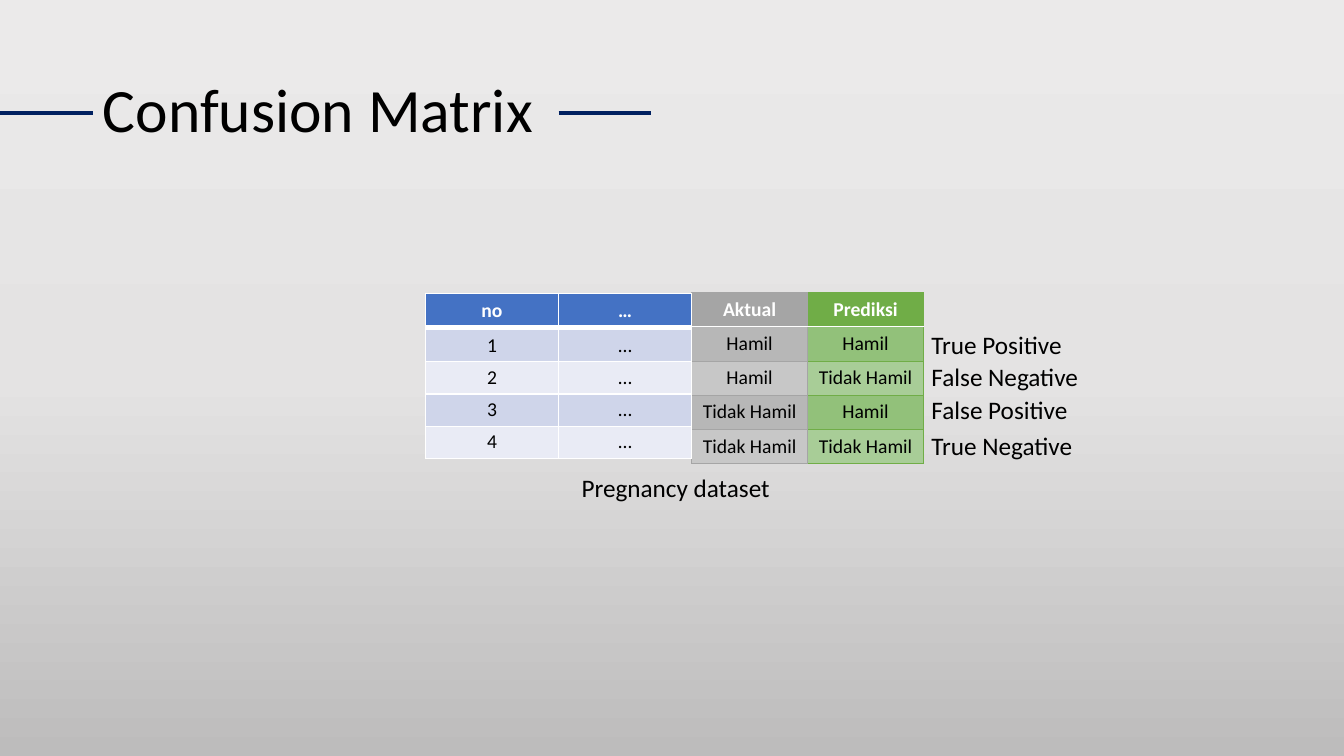
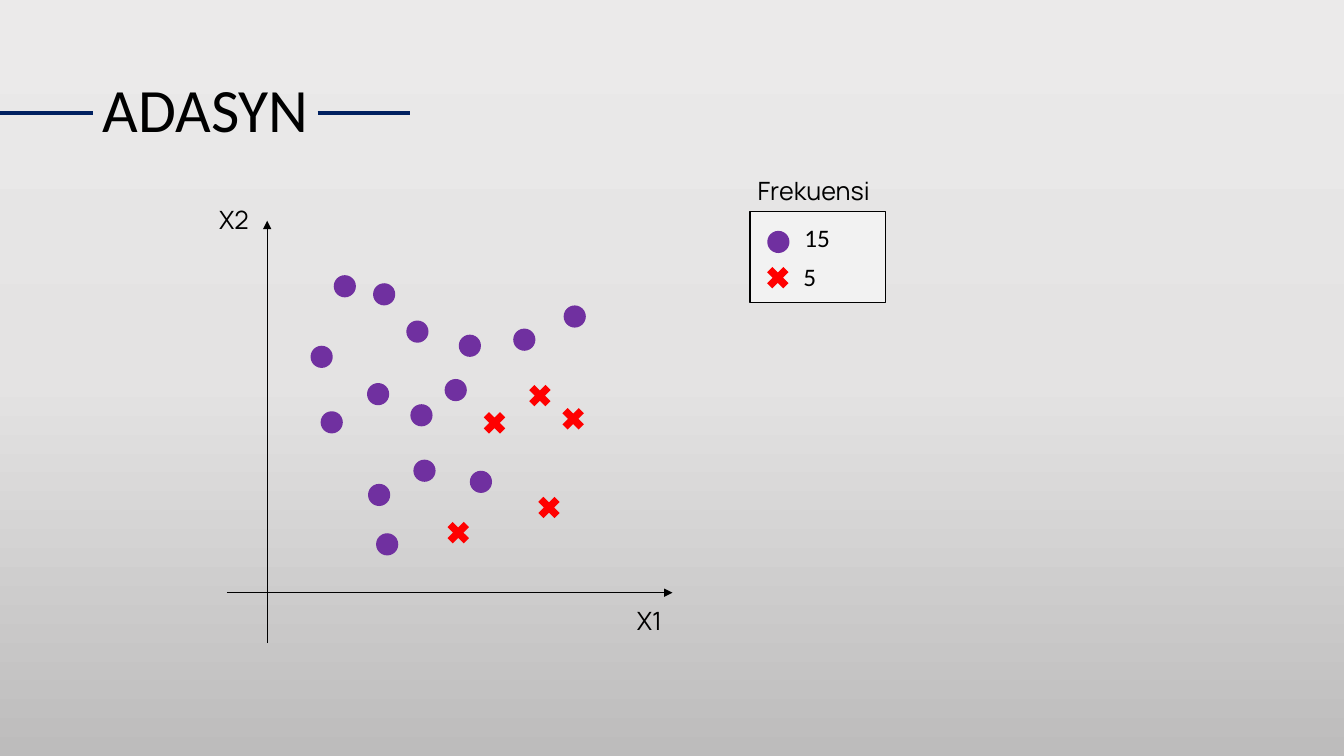
from copy import deepcopy
from dataclasses import dataclass

from lxml.etree import SubElement
from pptx import Presentation
from pptx.dml.color import RGBColor
from pptx.enum.shapes import MSO_CONNECTOR as Conn, MSO_SHAPE as Geo
from pptx.enum.text import MSO_ANCHOR as Anchor, PP_ALIGN as Align
from pptx.oxml.ns import qn
from pptx.util import Inches, Pt

BLACK, WHITE, NAVY = "000000", "FFFFFF", "002060"
GREEN, GREY, BLUE = "70AD47", "A5A5A5", "4472C4"
PURPLE, RED, PANEL = "7030A0", "FF0000", "F2F2F2"
BACKGROUND = ("EBEAEA", "E4E3E3", "BDBCBC")
BODY_FONT, AXIS_FONT = "Calibri", "Manrope"


@dataclass(frozen=True)
class Border:
    """Colour and width in points of a cell border."""
    color: str
    width: float


@dataclass(frozen=True)
class Grid:
    """A table, with one fill per row and a rule under its first row."""
    left: float
    top: float
    col_width: float
    row_height: float
    rows: tuple[tuple[str, ...], ...]
    fills: tuple[str, ...]
    border: Border
    rule: Border
    header: bool = True
    inset_x: float = 0.1
    inset_y: float = 0.05


@dataclass(frozen=True)
class Label:
    """A line of text in a box."""
    text: str
    left: float
    top: float
    width: float
    font: str = BODY_FONT
    align: Align = Align.LEFT
    wrap: bool = True


@dataclass(frozen=True)
class Marker:
    """The look of one class of points."""
    geo: Geo
    size: float
    color: str


DOT = Marker(Geo.OVAL, 0.22, PURPLE)
CROSS = Marker(Geo.MATH_MULTIPLY, 0.31, RED)

THIN_WHITE = Border(WHITE, 1)
LABEL_COLUMNS = (
    (8.01, "Prediksi", ("Hamil", "Tidak Hamil") * 2, GREEN, ("92C17A", "A8CD97")),
    (6.86, "Aktual", ("Hamil", "Hamil", "Tidak Hamil", "Tidak Hamil"), GREY,
     ("B7B7B7", "C7C7C7")),
)
GRIDS = (
    *(Grid(left, 2.9, 1.15, 0.34, ((head,), *((v,) for v in values)),
           (color, *bands * 2), Border(color, 0.5), THIN_WHITE)
      for left, head, values, color, bands in LABEL_COLUMNS),
    Grid(4.22, 2.91, 1.32, 0.33, (("no", "…"),), (BLUE,), THIN_WHITE, Border(WHITE, 3)),
    Grid(4.22, 3.27, 1.32, 0.32, tuple((str(n), "…") for n in range(1, 5)),
         ("CFD5EA", "E9EBF5") * 2, THIN_WHITE, THIN_WHITE, False, 0.08, 0.04),
)
DATASET_LABELS = (
    Label("Pregnancy dataset", 5.67, 4.64, 2.09, wrap=False),
    Label("True Positive", 9.14, 3.22, 1.51, wrap=False),
    Label("False Negative", 9.14, 3.54, 1.67, wrap=False),
    Label("False Positive", 9.14, 3.86, 1.57, wrap=False),
    Label("True Negative", 9.14, 4.22, 1.62, wrap=False),
)
PLOT_LABELS = (
    Label("Frekuensi", 7.36, 1.69, 1.42, AXIS_FONT, Align.CENTER),
    Label("15", 7.88, 2.16, 0.7),
    Label("5", 7.87, 2.54, 0.7),
    Label("X1", 5.73, 5.96, 1.42, AXIS_FONT, Align.CENTER),
    Label("X2", 1.61, 1.98, 1.42, AXIS_FONT, Align.CENTER),
)
AXES = ((2.65, 6.38, 2.65, 2.19), (2.25, 5.88, 6.67, 5.88))
LEGEND_POINTS = ((DOT, 7.61, 2.29), (CROSS, 7.56, 2.6))
DOT_POINTS = (
    (3.18, 4.08), (5.09, 3.26), (3.7, 2.81), (3.08, 3.43), (3.73, 5.29),
    (3.65, 4.8), (3.31, 2.73), (3.64, 3.8), (4.41, 3.76), (4.55, 3.32),
    (4.07, 4.01), (4.03, 3.18), (4.66, 4.67), (5.59, 3.03), (4.1, 4.56),
)
CROSS_POINTS = ((5.2, 3.77), (4.39, 5.13), (4.75, 4.04), (5.53, 4), (5.29, 4.88))


def rgb(color: str) -> RGBColor:
    """Turn a hex string into a colour."""
    return RGBColor.from_string(color)


def style_text(p, size: float, font: str = BODY_FONT, color: str = BLACK,
               bold: bool = False, align: Align = Align.LEFT) -> None:
    """Format a paragraph and its runs."""
    p.alignment = align
    for r in p.runs:
        r.font.name, r.font.size, r.font.bold = font, Pt(size), bold
        r.font.color.rgb = rgb(color)


def paint_background(master) -> None:
    """Give every slide the same vertical gradient."""
    fill = master.background.fill
    fill.gradient()
    fill.gradient_angle = 270
    stops = master.element.find(".//" + qn("p:bgPr")).find(".//" + qn("a:gsLst"))
    stops.insert(1, deepcopy(stops[0]))
    for i, (stop, color) in enumerate(zip(fill.gradient_stops, BACKGROUND)):
        stop.color.rgb = rgb(color)
        stop.position = i / 2


def add_line(s, x1: float, y1: float, x2: float, y2: float, color: str,
             width: float, arrow: bool = False):
    """Draw a straight line, with an arrowhead at its end if asked."""
    line = s.shapes.add_connector(Conn.STRAIGHT, Inches(x1), Inches(y1),
                                  Inches(x2), Inches(y2))
    line.line.color.rgb = rgb(color)
    line.line.width = Pt(width)
    if arrow:
        SubElement(line.line._get_or_add_ln(), qn("a:tailEnd"), type="triangle")
    SubElement(line._element.spPr, qn("a:effectLst"))
    return line


def add_titled_slide(prs, title: str, dash_left: float):
    """Add a slide whose title stands between two dashes."""
    s = prs.slides.add_slide(prs.slide_layouts[5])
    sp = s.shapes.title
    sp.left, sp.top, sp.width, sp.height = map(Inches, (0.92, 0.4, 11.5, 1.44))
    tf = sp.text_frame
    tf.text = title
    tf.vertical_anchor = Anchor.MIDDLE
    tf.paragraphs[0].line_spacing = 0.9
    style_text(tf.paragraphs[0], 44)
    dash = add_line(s, 0, 1.12, 0.92, 1.12, NAVY, 3)
    dash.end_connect(sp, 1)
    add_line(s, dash_left, 1.12, dash_left + 0.92, 1.12, NAVY, 3)
    return s


def add_label(s, label: Label) -> None:
    """Draw a text box."""
    sp = s.shapes.add_textbox(Inches(label.left), Inches(label.top),
                              Inches(label.width), Inches(0.4))
    tf = sp.text_frame
    tf.word_wrap = label.wrap
    tf.text = label.text
    style_text(tf.paragraphs[0], 18, label.font, align=label.align)


def add_shape(s, geo: Geo, left: float, top: float, width: float, height: float,
              color: str, outline: str | None = None) -> None:
    """Draw a filled shape, outlined if asked."""
    sp = s.shapes.add_shape(geo, Inches(left), Inches(top), Inches(width), Inches(height))
    sp.shadow.inherit = False
    sp.fill.solid()
    sp.fill.fore_color.rgb = rgb(color)
    if outline:
        sp.line.color.rgb = rgb(outline)
        sp.line.width = Pt(1)
    else:
        sp.line.fill.background()


def add_point(s, marker: Marker, left: float, top: float) -> None:
    """Draw one marker."""
    add_shape(s, marker.geo, left, top, marker.size, marker.size, marker.color)


def set_borders(cell, borders: dict[str, Border]) -> None:
    """Set the borders of a cell, in the order left, right, top, bottom."""
    tc_pr = cell._tc.get_or_add_tcPr()
    for side, border in borders.items():
        ln = SubElement(tc_pr, qn(f"a:ln{side}"), w=str(Pt(border.width)))
        SubElement(SubElement(ln, qn("a:solidFill")), qn("a:srgbClr"), val=border.color)


def add_grid(s, grid: Grid) -> None:
    """Draw a table."""
    n_rows, n_cols = len(grid.rows), len(grid.rows[0])
    table = s.shapes.add_table(
        n_rows, n_cols, Inches(grid.left), Inches(grid.top),
        Inches(grid.col_width * n_cols), Inches(grid.row_height * n_rows)).table
    table.first_row = table.horz_banding = False
    for column in table.columns:
        column.width = Inches(grid.col_width)
    for i, (values, color) in enumerate(zip(grid.rows, grid.fills)):
        table.rows[i].height = Inches(grid.row_height)
        head = grid.header and i == 0
        borders = dict.fromkeys("LRTB", grid.border)
        if i < 2:
            borders["BT"[i]] = grid.rule
        for j, value in enumerate(values):
            cell = table.cell(i, j)
            set_borders(cell, borders)
            cell.fill.solid()
            cell.fill.fore_color.rgb = rgb(color)
            cell.margin_left = cell.margin_right = Inches(grid.inset_x)
            cell.margin_top = cell.margin_bottom = Inches(grid.inset_y)
            cell.text_frame.text = value
            style_text(cell.text_frame.paragraphs[0], 14, color=WHITE if head else BLACK,
                       bold=head, align=Align.CENTER)


def build_confusion_matrix(prs) -> None:
    """Build the slide with the pregnancy dataset."""
    s = add_titled_slide(prs, "Confusion Matrix", 5.54)
    for grid in GRIDS:
        add_grid(s, grid)
    for label in DATASET_LABELS:
        add_label(s, label)


def build_adasyn(prs) -> None:
    """Build the slide with the scatter of two classes."""
    s = add_titled_slide(prs, "ADASYN", 3.15)
    add_shape(s, Geo.RECTANGLE, 7.44, 2.1, 1.34, 0.9, PANEL, BLACK)
    for axis in AXES:
        add_line(s, *axis, BLACK, 0.5, arrow=True)
    for point in LEGEND_POINTS:
        add_point(s, *point)
    for marker, points in ((DOT, DOT_POINTS), (CROSS, CROSS_POINTS)):
        for left, top in points:
            add_point(s, marker, left, top)
    for label in PLOT_LABELS:
        add_label(s, label)


def main() -> None:
    """Build and save the presentation."""
    prs = Presentation()
    prs.slide_width, prs.slide_height = Inches(13.33), Inches(7.5)
    paint_background(prs.slide_master)
    build_confusion_matrix(prs)
    build_adasyn(prs)
    prs.save("out.pptx")


if __name__ == "__main__":
    main()
